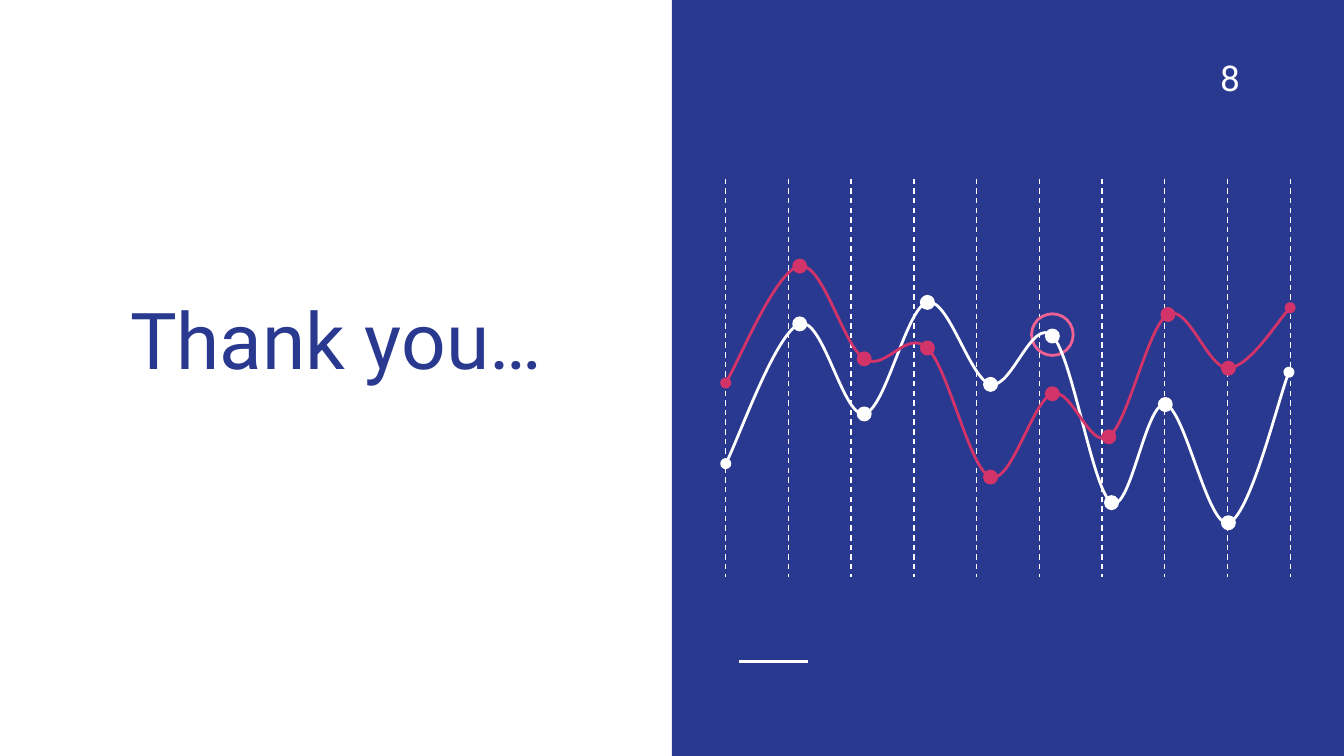
from dataclasses import dataclass

from pptx import Presentation
from pptx.dml.color import RGBColor
from pptx.enum.dml import MSO_LINE_DASH_STYLE as Dash
from pptx.enum.shapes import MSO_CONNECTOR_TYPE as Connector, MSO_SHAPE as Shape
from pptx.enum.text import MSO_ANCHOR as Anchor, MSO_AUTO_SIZE as AutoSize, PP_ALIGN as Align
from pptx.oxml.ns import qn
from pptx.oxml.xmlchemy import OxmlElement
from pptx.util import Inches, Pt

WIDTH = 10
HEIGHT = WIDTH * 9 / 16
GRID_LEFT, GRID_RIGHT, GRID_TOP, GRID_BOTTOM = 5.4, 9.6, 1.33, 4.29
GRID_LINES = 10
DOT_SIZE, RING_SIZE = 0.09, 0.31
RING_CENTER = (7.83, 2.49)

WHITE_SERIES = [(5.4, 3.45), (5.95, 2.41), (6.43, 3.08), (6.9, 2.25), (7.37, 2.86),
                (7.83, 2.5), (8.27, 3.74), (8.67, 3.01), (9.14, 3.89), (9.59, 2.77)]
RED_SERIES = [(5.4, 2.85), (5.95, 1.98), (6.43, 2.67), (6.9, 2.59), (7.37, 3.55),
              (7.83, 2.93), (8.25, 3.25), (8.69, 2.34), (9.14, 2.74), (9.6, 2.29)]


@dataclass(frozen=True)
class Theme:
    """Colours, font and type sizes of the slide."""
    blue: RGBColor = RGBColor.from_string("2A3990")
    white: RGBColor = RGBColor.from_string("FFFFFF")
    red: RGBColor = RGBColor.from_string("D23369")
    pink: RGBColor = RGBColor.from_string("F06292")
    font: str = "Roboto"
    title_size: Pt = Pt(42)
    number_size: Pt = Pt(19)
    thin: Pt = Pt(0.75)
    thick: Pt = Pt(1.5)


THEME = Theme()


def style_line(line, color, width):
    """Set the colour and width of a line."""
    line.color.rgb = color
    line.width = width


def add_line(shapes, start, end, width, dash=None):
    """Add a straight white line without a shadow."""
    line = shapes.add_connector(Connector.STRAIGHT, *map(Inches, start + end))
    style_line(line.line, THEME.white, width)
    if dash:
        line.line.dash_style = dash
    line._element.spPr.append(OxmlElement("a:effectLst"))


def add_panel(shapes):
    """Fill the right half of the slide."""
    panel = shapes.add_shape(Shape.RECTANGLE, *map(Inches, (WIDTH / 2, 0, WIDTH / 2, HEIGHT)))
    panel.shadow.inherit = False
    panel.fill.solid()
    panel.fill.fore_color.rgb = THEME.blue
    panel.line.fill.background()


def add_circle(shapes, center, size, color, filled=True):
    """Add a circle around a centre point."""
    left, top = (value - size / 2 for value in center)
    circle = shapes.add_shape(Shape.OVAL, *map(Inches, (left, top, size, size)))
    circle.shadow.inherit = False
    if filled:
        circle.fill.solid()
        circle.fill.fore_color.rgb = color
    else:
        circle.fill.background()
    style_line(circle.line, color, THEME.thick)


def add_point(parent, x, y):
    """Append a geometry point to a segment."""
    point = OxmlElement("a:pt")
    point.set("x", str(round(x)))
    point.set("y", str(round(y)))
    parent.append(point)


def smooth(curve):
    """Turn straight segments into a Catmull-Rom spline."""
    knots = [(int(point.get("x")), int(point.get("y")))
             for point in curve._element.iter(qn("a:pt"))]
    ends = [knots[0], *knots, knots[-1]]
    tangents = [((after[0] - before[0]) / 6, (after[1] - before[1]) / 6)
                for before, after in zip(ends, ends[2:])]
    segments = list(curve._element.iter(qn("a:lnTo")))
    for index, segment in enumerate(segments):
        (x1, y1), (x2, y2) = knots[index:index + 2]
        (dx1, dy1), (dx2, dy2) = tangents[index:index + 2]
        bezier = OxmlElement("a:cubicBezTo")
        add_point(bezier, x1 + dx1, y1 + dy1)
        add_point(bezier, x2 - dx2, y2 - dy2)
        add_point(bezier, x2, y2)
        segment.getparent().replace(segment, bezier)


def add_series(page, knots, color):
    """Add a smooth curve with a dot on each inner knot."""
    shapes = page.shapes.add_group_shape().shapes
    points = [(Inches(x), Inches(y)) for x, y in knots]
    builder = shapes.build_freeform(*points[0])
    builder.add_line_segments(points[1:], close=False)
    curve = builder.convert_to_shape()
    curve.shadow.inherit = False
    curve.fill.background()
    style_line(curve.line, color, THEME.thick)
    for name in ("a:headEnd", "a:tailEnd"):
        marker = OxmlElement(name)
        marker.set("type", "oval")
        curve.line._get_or_add_ln().append(marker)
    smooth(curve)
    for knot in knots[1:-1]:
        add_circle(shapes, knot, DOT_SIZE, color)


def add_grid(page):
    """Add evenly spaced dashed vertical lines."""
    shapes = page.shapes.add_group_shape().shapes
    step = (GRID_RIGHT - GRID_LEFT) / (GRID_LINES - 1)
    for index in range(GRID_LINES):
        x = GRID_LEFT + index * step
        add_line(shapes, (x, GRID_TOP), (x, GRID_BOTTOM), THEME.thin, Dash.DASH)


def set_text(box, text, size, color, align, anchor):
    """Write one formatted paragraph into a box."""
    frame = box.text_frame
    frame.word_wrap = True
    frame.auto_size = AutoSize.NONE
    frame.vertical_anchor = anchor
    frame.margin_left = frame.margin_right = Inches(0.1)
    frame.margin_top = frame.margin_bottom = Inches(0.1)
    para = frame.paragraphs[0]
    para.text = text
    para.alignment = align
    para.font.name = THEME.font
    para.font.size = size
    para.font.color.rgb = color


def add_title(page, text):
    """Place the title in the left half."""
    title = page.shapes.title
    title.left, title.top, title.width, title.height = map(Inches, (0.29, 1.26, 4.42, 1.71))
    set_text(title, text, THEME.title_size, THEME.blue, Align.CENTER, Anchor.BOTTOM)


def add_number(page, text):
    """Place the page number at the top right."""
    box = page.shapes.add_textbox(*map(Inches, (8.98, 0.32, 0.85, 0.71)))
    set_text(box, text, THEME.number_size, THEME.white, Align.LEFT, Anchor.TOP)


def main():
    """Build and save the closing slide."""
    deck = Presentation()
    deck.slide_width, deck.slide_height = Inches(WIDTH), Inches(HEIGHT)
    page = deck.slides.add_slide(deck.slide_layouts.get_by_name("Title Only"))
    add_panel(page.shapes)
    add_line(page.shapes, (5.5, 4.92), (6.01, 4.92), THEME.thick)
    add_grid(page)
    add_circle(page.shapes, RING_CENTER, RING_SIZE, THEME.pink, filled=False)
    add_title(page, "Thank you…")
    add_series(page, WHITE_SERIES, THEME.white)
    add_series(page, RED_SERIES, THEME.red)
    add_number(page, "8")
    deck.save("out.pptx")


if __name__ == "__main__":
    main()
